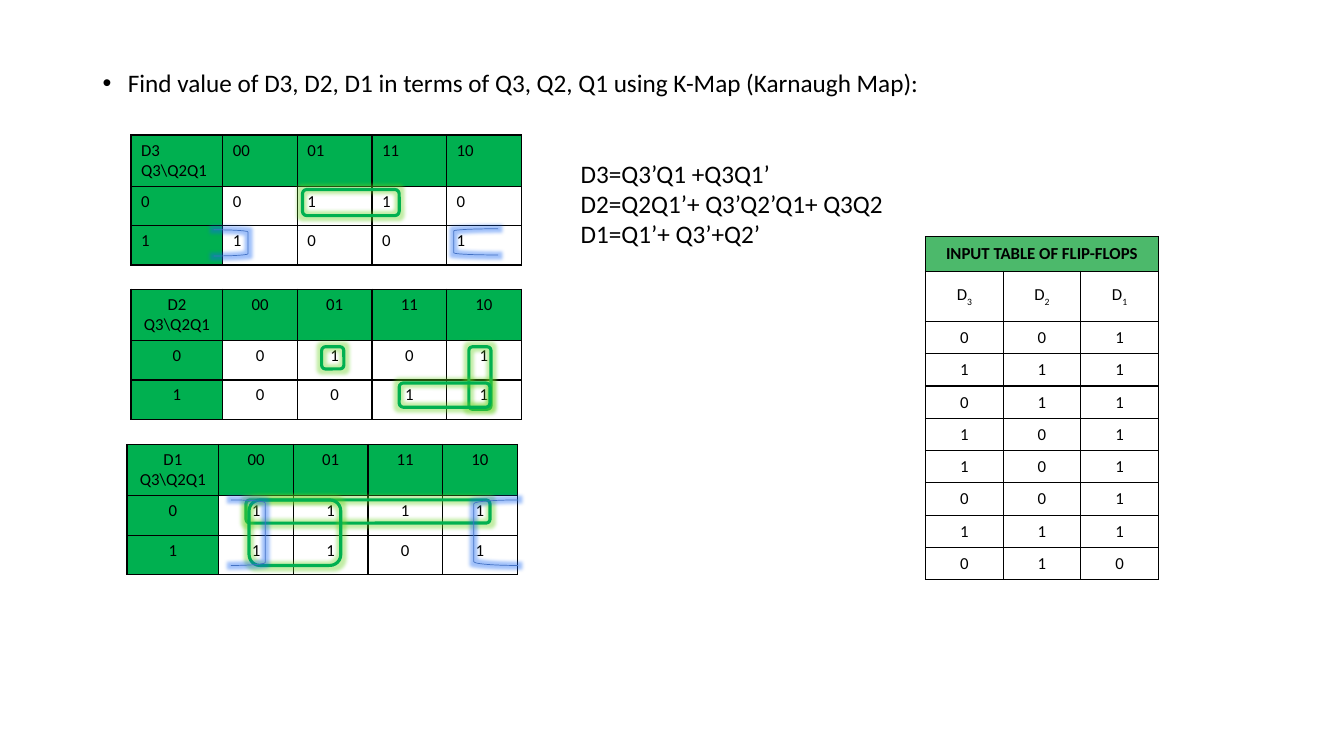
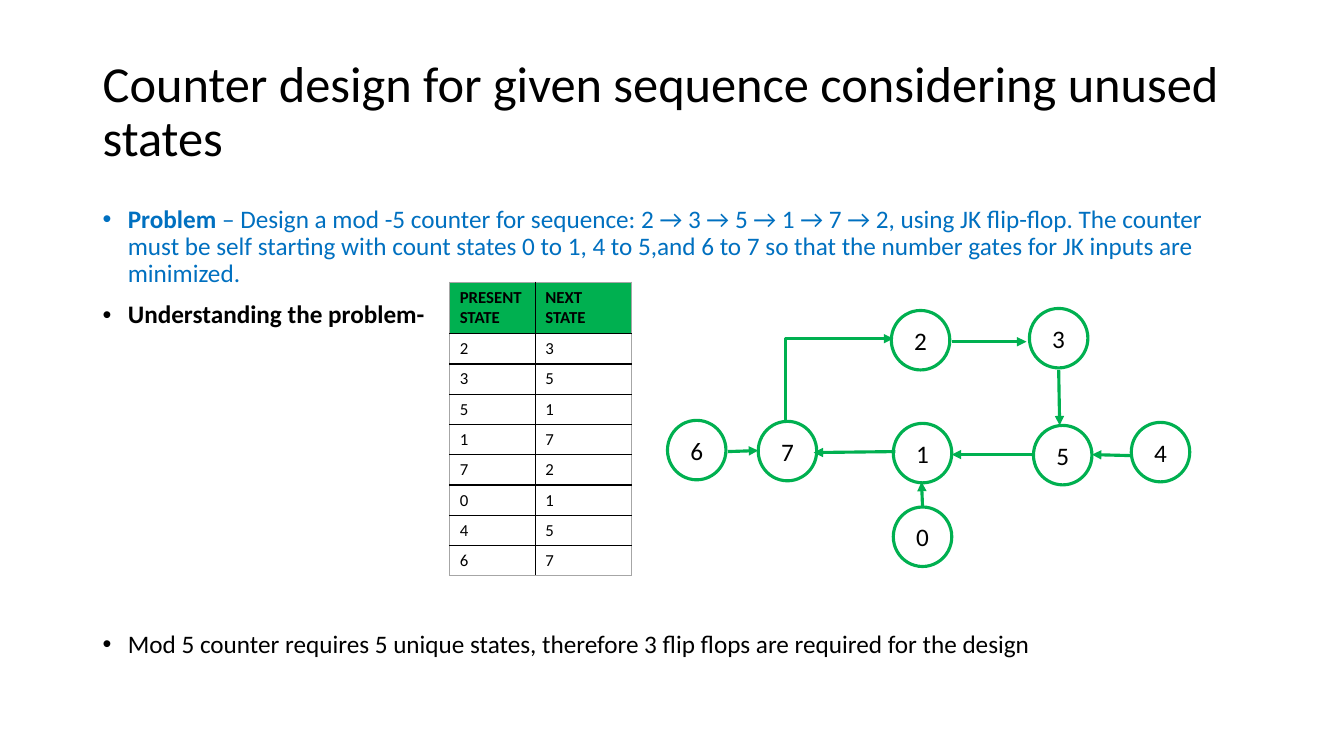
from lxml.etree import SubElement
from pptx import Presentation
from pptx.dml.color import RGBColor
from pptx.enum.shapes import MSO_CONNECTOR as Link, MSO_SHAPE as Geo
from pptx.enum.text import MSO_ANCHOR as Anchor, PP_ALIGN as Align
from pptx.oxml.ns import qn
from pptx.util import Emu, Pt


def px(n):
    return Emu(n * 9144)


def rgb(code):
    return RGBColor.from_string(code)


def add(node, tag, **attrs):
    return SubElement(node, qn("a:" + tag), attrs)


class Deck:
    """Holds the shared style and the current slide, and draws each element."""

    face = "Calibri"
    ink, green, mint, blue, sky = "000000", "00B050", "4CB96B", "4472C4", "0070C0"
    lime, gray = "70AD47", "A6A6A6"

    def __init__(self):
        self.show = Presentation()
        self.show.slide_width, self.show.slide_height = px(1333), px(750)

    def page(self):
        self.slide = self.show.slides.add_slide(self.show.slide_layouts[6])
        self.shapes = self.slide.shapes

    def style(self, par, size, color=ink, bold=False, align=Align.LEFT):
        par.alignment = align
        font = par.font
        font.name, font.size, font.bold = self.face, Pt(size), bold
        font.color.rgb = rgb(color)

    def fill(self, frame, lines, size, **look):
        for i, line in enumerate(lines):
            par = frame.paragraphs[0] if i == 0 else frame.add_paragraph()
            par.text = line
            self.style(par, size, **look)

    def text(self, box, lines, size, anchor=Anchor.TOP):
        frame = self.shapes.add_textbox(*map(px, box)).text_frame
        frame.word_wrap, frame.vertical_anchor = True, anchor
        self.fill(frame, lines, size)
        return frame

    def title(self, line):
        frame = self.text((92, 40, 1150, 145), [line], 36, Anchor.MIDDLE)
        frame.paragraphs[0].line_spacing = 0.9

    def points(self, box, items):
        frame = self.shapes.add_textbox(*map(px, box)).text_frame
        frame.word_wrap = True
        for i, (lead, rest, color, gap) in enumerate(items):
            par = frame.paragraphs[0] if i == 0 else frame.add_paragraph()
            par.line_spacing, par.space_before = 0.9, Pt(gap)
            props = par._p.get_or_add_pPr()
            props.set("marL", str(px(25)))
            props.set("indent", str(-px(25)))
            add(props, "buFont", typeface="Arial")
            add(props, "buChar", char="•")
            self.style(par, 18, color)
            for part, bold in ((lead, True), (rest, False)):
                if part:
                    run = par.add_run()
                    run.text, run.font.bold = part, bold

    def edges(self, cell, colors):
        props = cell._tc.get_or_add_tcPr()
        for side, color in zip("LRTB", colors):
            line = add(props, "ln" + side, w=str(Pt(1)))
            add(add(line, "solidFill"), "srgbClr", val=color)

    def table(self, spot, cols, rows, cells, paint, align=Align.LEFT,
              rim=ink, pad=None, bold=0):
        size = (sum(cols), sum(rows))
        grid = self.shapes.add_table(len(rows), len(cols), *map(px, spot + size)).table
        grid.first_row = grid.horz_banding = False
        for col, wide in zip(grid.columns, cols):
            col.width = px(wide)
        for row, high in zip(grid.rows, rows):
            row.height = px(high)
        for r, line in enumerate(cells):
            for c, word in enumerate(line):
                cell = grid.cell(r, c)
                ends = (c == 0, c == len(cols) - 1, r == 0, r == len(rows) - 1)
                self.edges(cell, [rim if end else self.ink for end in ends])
                color = paint(r, c)
                if color:
                    cell.fill.solid()
                    cell.fill.fore_color.rgb = rgb(color)
                else:
                    cell.fill.background()
                if pad:
                    cell.vertical_anchor = Anchor.MIDDLE
                    wide, high = pad if r else (7, 7)
                    cell.margin_left = cell.margin_right = px(wide)
                    cell.margin_top = cell.margin_bottom = px(high)
                self.fill(cell.text_frame, word.split("\n"), 12,
                          bold=r < bold, align=align)
        return grid

    def kmap(self, spot, name, top, low, align):
        cells = [[name + "\nQ3\\Q2Q1", "00", "01", "11", "10"], "0" + top, "1" + low]
        self.table(spot, [91] + [74] * 4, [51, 39, 39], cells,
                   lambda r, c: None if r and c else self.green, align)

    def shape(self, geo, box, color, wide):
        item = self.shapes.add_shape(geo, *map(px, box))
        item.shadow.inherit = False
        item.fill.background()
        item.line.color.rgb, item.line.width = rgb(color), Pt(wide)
        return item

    def glow(self, geo, box, color, wide, halo):
        item = self.shape(geo, box, color, wide)
        list_ = item._element.spPr.find(qn("a:effectLst"))
        tint = add(add(list_, "glow", rad=str(Pt(5))), "srgbClr", val=halo)
        add(tint, "satMod", val="175000")
        add(tint, "alpha", val="40000")

    def loop(self, *box):
        self.glow(Geo.ROUNDED_RECTANGLE, box, self.green, 2.25, self.lime)

    def hook(self, geo, *box):
        self.glow(geo, box, self.blue, 0.5, self.blue)

    def state(self, word, x, y):
        frame = self.shape(Geo.OVAL, (x, y, 58, 59), self.green, 2.25).text_frame
        frame.margin_left = frame.margin_right = 0
        frame.vertical_anchor = Anchor.MIDDLE
        self.fill(frame, [word], 18, align=Align.CENTER)

    def link(self, *ends, bent=False):
        item = self.shapes.add_connector(Link.STRAIGHT, *map(px, ends))
        item.line.color.rgb, item.line.width = rgb(self.green), Pt(2.25)
        props = item._element.spPr
        if bent:
            props.find(qn("a:prstGeom")).set("prst", "bentConnector2")
        else:
            add(item.line._get_or_add_ln(), "tailEnd", type="triangle")
        add(props, "effectLst")


def maps(deck):
    deck.page()
    deck.points((92, 65, 1150, 611), [
        ("", "Find value of D3, D2, D1 in terms of Q3, Q2, Q1 using K-Map (Karnaugh Map):",
         deck.ink, 0)])
    deck.kmap((130, 134), "D3", "0110", "1001", Align.LEFT)
    deck.kmap((130, 287), "D2", "0101", "0011", Align.CENTER)
    deck.kmap((126, 441), "D1", "1111", "1101", Align.CENTER)
    deck.text((566, 152, 324, 101), [
        "D3=Q3’Q1 +Q3Q1’", "D2=Q2Q1’+ Q3’Q2’Q1+ Q3Q2", "D1=Q1’+ Q3’+Q2’"], 18)
    bits = ["001", "111", "011", "101", "101", "001", "111", "010"]
    cells = [["INPUT TABLE OF FLIP-FLOPS", "", ""], "DDD"] + bits
    grid = deck.table((918, 235), [77] * 3, [33, 50] + [32] * 8, cells,
                      lambda r, c: None if r else deck.mint,
                      Align.CENTER, pad=(12, 6), bold=1)
    grid.cell(0, 0).merge(grid.cell(0, 2))
    for c, mark in enumerate("321"):
        run = grid.cell(1, c).text_frame.paragraphs[0].add_run()
        run.text = mark
        run.font._element.set("baseline", "-25000")
    for box in ((300, 188, 96, 26), (465, 344, 22, 62), (244, 496, 242, 23),
                (396, 380, 90, 24), (319, 344, 22, 22), (247, 496, 91, 65)):
        deck.loop(*box)
    for x, y, high in ((212, 228, 26), (229, 496, 65)):
        deck.hook(Geo.RIGHT_BRACKET, x, y, 34, high)
    for x, y, high in ((450, 227, 26), (470, 496, 65)):
        deck.hook(Geo.LEFT_BRACKET, x, y, 44, high)


def design(deck):
    deck.page()
    deck.title("Counter design for given sequence considering unused states")
    deck.points((92, 200, 1150, 476), [
        ("Problem", " – Design a mod -5 counter for sequence: 2 → 3 → 5 → 1 → 7 → 2, "
         "using JK flip-flop. The counter must be self starting with count states "
         "0 to 1, 4 to 5,and 6 to 7 so that the number gates for JK inputs are "
         "minimized.", deck.sky, 0),
        ("Understanding the problem-", "", deck.ink, 10),
        ("", "Mod 5 counter requires 5 unique states, therefore 3 flip flops are "
         "required for the design", deck.ink, 216)])
    steps = ["23", "35", "51", "17", "72", "01", "45", "67"]
    deck.table((446, 280), [85, 95], [51] + [30] * 8,
               [["PRESENT\nSTATE", "NEXT\nSTATE"]] + steps,
               lambda r, c: None if r else deck.green, rim=deck.gray, bold=1)
    for word, x, y in (("2", 884, 308), ("3", 1021, 306), ("5", 1025, 422),
                       ("1", 886, 420), ("4", 1122, 419), ("7", 752, 418),
                       ("6", 662, 417), ("0", 886, 503)):
        deck.state(word, x, y)
    deck.link(813, 336, 779, 417, bent=True)
    for ends in ((811, 336, 886, 336), (944, 339, 1018, 339), (1050, 367, 1051, 422),
                 (1025, 451, 944, 451), (1121, 452, 1083, 451), (888, 448, 807, 449),
                 (722, 448, 752, 447), (915, 503, 914, 478)):
        deck.link(*ends)


def main():
    deck = Deck()
    maps(deck)
    design(deck)
    deck.show.save("out.pptx")


if __name__ == "__main__":
    main()
